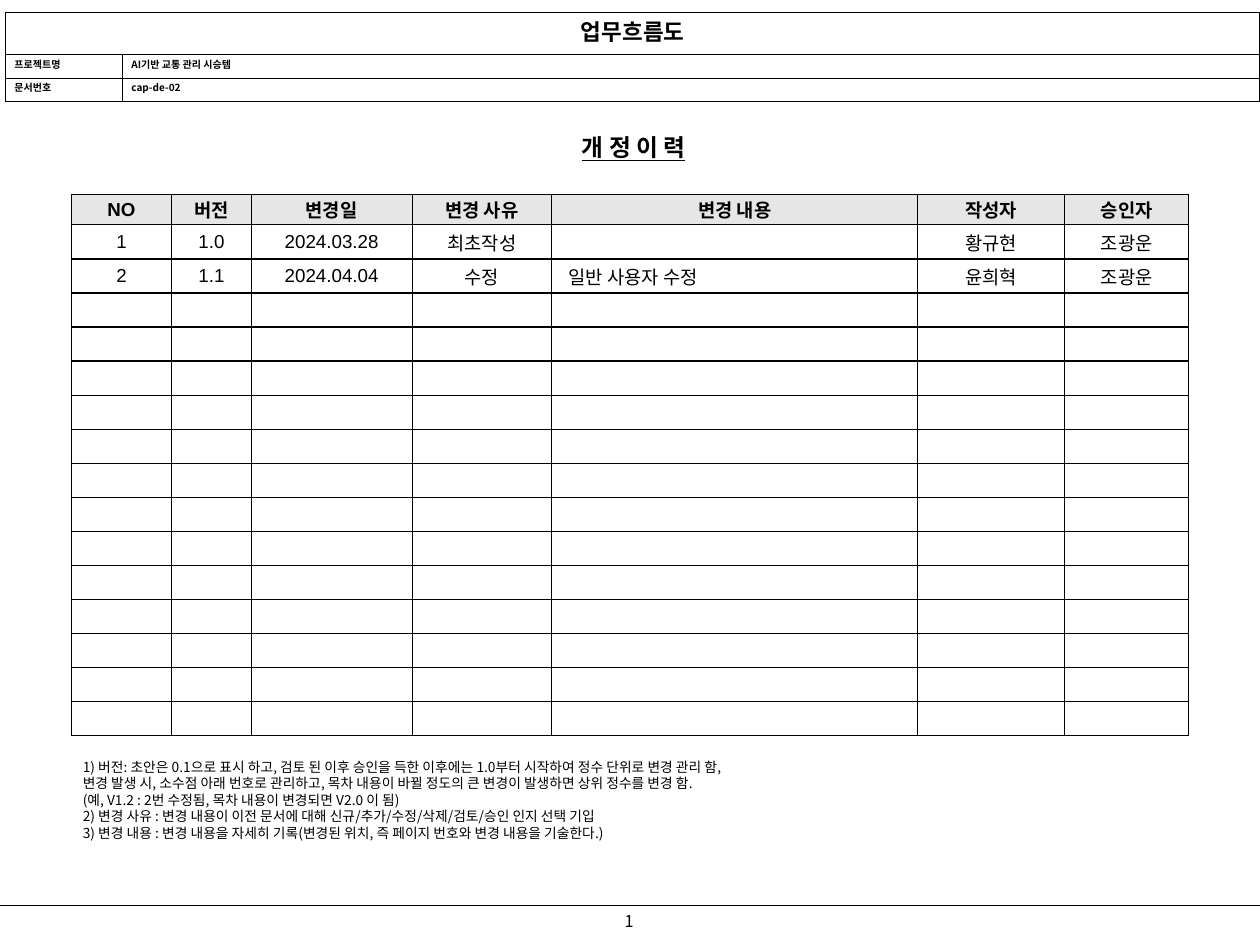
from lxml import etree
from pptx import Presentation
from pptx.dml.color import RGBColor
from pptx.enum.shapes import MSO_CONNECTOR
from pptx.enum.text import MSO_ANCHOR, MSO_AUTO_SIZE, PP_ALIGN
from pptx.oxml.ns import qn
from pptx.util import Inches, Pt

LINE = MSO_CONNECTOR.STRAIGHT
TOP, MID = MSO_ANCHOR.TOP, MSO_ANCHOR.MIDDLE
FIT = MSO_AUTO_SIZE.SHAPE_TO_FIT_TEXT
LEFT, MIDST = PP_ALIGN.LEFT, PP_ALIGN.CENTER
COLS, ROWS = 140, 105
HUES = {"ink": "000000", "head": "E6E6E6", "page": "FFFFFF"}
SANS, HANGUL = "Arial", "Noto Sans CJK KR"

HEADS = ["NO", "버전", "변경일", "변경 사유", "변경 내용", "작성자", "승인자"]
LOG = [
    ["1", "1.0", "2024.03.28", "최초작성", "", "황규현", "조광운"],
    ["2", "1.1", "2024.04.04", "수정", "일반 사용자 수정", "윤희혁", "조광운"],
]
SPARE = 13
NOTES = [
    "1) 버전: 초안은 0.1으로 표시 하고, 검토 된 이후 승인을 득한 이후에는 1.0부터 시작하여 정수 단위로 변경 관리 함,",
    "변경 발생 시, 소수점 아래 번호로 관리하고, 목차 내용이 바뀔 정도의 큰 변경이 발생하면 상위 정수를 변경 함.",
    "(예, V1.2 : 2번 수정됨, 목차 내용이 변경되면 V2.0 이 됨)",
    "2) 변경 사유 : 변경 내용이 이전 문서에 대해 신규/추가/수정/삭제/검토/승인 인지 선택 기입",
    "3) 변경 내용 : 변경 내용을 자세히 기록(변경된 위치, 즉 페이지 번호와 변경 내용을 기술한다.)",
]
FACTS = [["프로젝트명", "AI기반 교통 관리 시승템"], ["문서번호", "cap-de-02"]]


def grid(*cells):
    """Turn grid steps, each a tenth of an inch, into lengths."""
    return [Inches(cell / 10) for cell in cells]


def ink(name):
    """Look up a colour by its name."""
    return RGBColor.from_string(HUES[name])


def write(frame, lines, size=11, font=HANGUL, bold=False, under=False, align=LEFT, lead=None):
    """Fill a text frame with one paragraph per line."""
    for i, line in enumerate(lines):
        para = frame.add_paragraph() if i else frame.paragraphs[0]
        para.alignment = align
        if lead:
            para.line_spacing = Pt(lead)
        run = para.add_run()
        run.text = line
        face = run.font
        face.size, face.bold, face.underline = Pt(size), bold, under
        face.color.rgb = ink("ink")
        face.name = font
        etree.SubElement(run._r.get_or_add_rPr(), qn("a:ea"), typeface=HANGUL)


def label(slide, box, lines, wrap=True, anchor=TOP, **form):
    """Place a text box on the grid."""
    frame = slide.shapes.add_textbox(*grid(*box)).text_frame
    frame.word_wrap, frame.auto_size = wrap, FIT
    frame.vertical_anchor = anchor
    frame.margin_left, frame.margin_right, frame.margin_top, frame.margin_bottom = grid(1.3, 1.3, 0.7, 0.7)
    write(frame, lines, **form)


def rule(slide, row):
    """Draw a line across the whole slide."""
    line = slide.shapes.add_connector(LINE, *grid(0, row, COLS, row))
    line.line.width = Pt(1)
    line.line.color.rgb = ink("ink")
    etree.SubElement(line._element.spPr, qn("a:effectLst"))


def sheet(slide, spot, wides, highs):
    """Add a plain table with the given column and row sizes."""
    box = grid(*spot, sum(wides), sum(highs))
    table = slide.shapes.add_table(len(highs), len(wides), *box).table
    table.first_row = table.horz_banding = False
    for col, wide in zip(table.columns, grid(*wides)):
        col.width = wide
    for row, high in zip(table.rows, grid(*highs)):
        row.height = high
    return table


def style(cell, pads, fill=None, anchor=TOP):
    """Give a cell its border, fill and margins."""
    prop = cell._tc.get_or_add_tcPr()
    for side in ("lnL", "lnR", "lnT", "lnB"):
        edge = etree.SubElement(prop, qn(f"a:{side}"), w=str(Pt(1)))
        solid = etree.SubElement(edge, qn("a:solidFill"))
        etree.SubElement(solid, qn("a:srgbClr"), val=HUES["ink"])
    if fill:
        cell.fill.solid()
        cell.fill.fore_color.rgb = ink(fill)
    else:
        cell.fill.background()
    cell.margin_left, cell.margin_right, cell.margin_top, cell.margin_bottom = grid(*pads)
    cell.vertical_anchor = anchor


def log(slide):
    """Build the table of revisions."""
    data = [HEADS] + LOG + [[""] * len(HEADS)] * SPARE
    highs = [3.4] + [3.78] * (len(data) - 1)
    table = sheet(slide, (7.9, 21.6), [11.2, 8.8, 17.9, 15.5, 40.7, 16.3, 13.8], highs)
    for r, row in enumerate(data):
        for c, text in enumerate(row):
            head = r == 0
            prose = HEADS[c] == "변경 내용" and not head
            cell = table.cell(r, c)
            style(cell, (1.9 if prose else 0.9, 0.9, 0, 0), "head" if head else None, MID)
            if text:
                write(cell.text_frame, [text], size=15, font=SANS, bold=head, align=LEFT if prose else MIDST)


def banner(slide):
    """Build the document header table."""
    table = sheet(slide, (0.6, 1.4), [13, 126.4], [4.7, 2.6, 2.6])
    for cell in table.iter_cells():
        style(cell, (1, 1, 0.2, 0.2), "page")
    table.cell(0, 0).merge(table.cell(0, 1))
    write(table.cell(0, 0).text_frame, ["업무흐름도"], size=18, bold=True, align=MIDST)
    for r, row in enumerate(FACTS, 1):
        for c, text in enumerate(row):
            write(table.cell(r, c).text_frame, [text], size=8, bold=True)


def main():
    """Build the revision history slide and save it."""
    deck = Presentation()
    deck.slide_width, deck.slide_height = grid(COLS, ROWS)
    slide = deck.slides.add_slide(deck.slide_layouts[6])
    label(slide, (67.2, 100.6, 5.4, 3.5), ["1"], wrap=False, size=13, align=MIDST, lead=15.2)
    rule(slide, 100.6)
    label(slide, (58.2, 14, 24.4, 4.7), ["개 정 이 력"], anchor=MID, size=19, bold=True, under=True, align=MIDST)
    log(slide)
    label(slide, (7.9, 83.6, 124.2, 10.6), NOTES, lead=13.2)
    banner(slide)
    deck.save("out.pptx")


if __name__ == "__main__":
    main()
